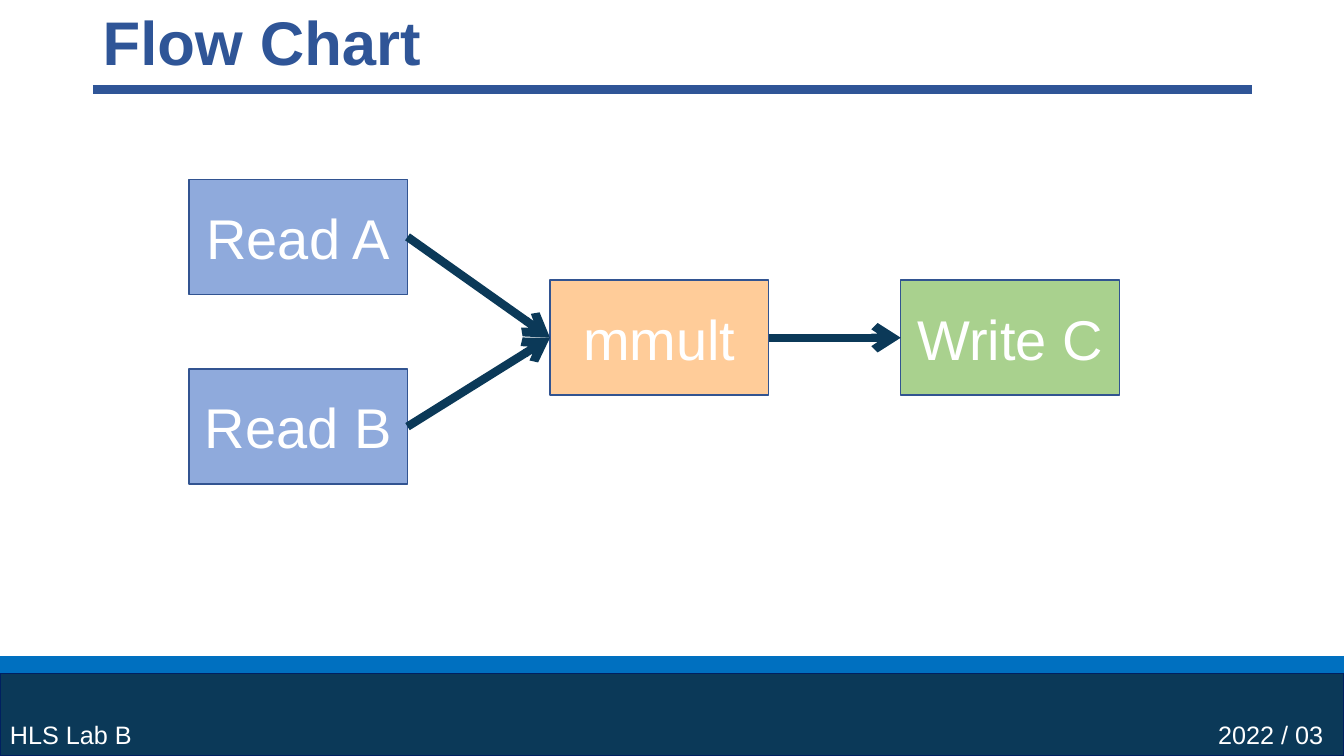
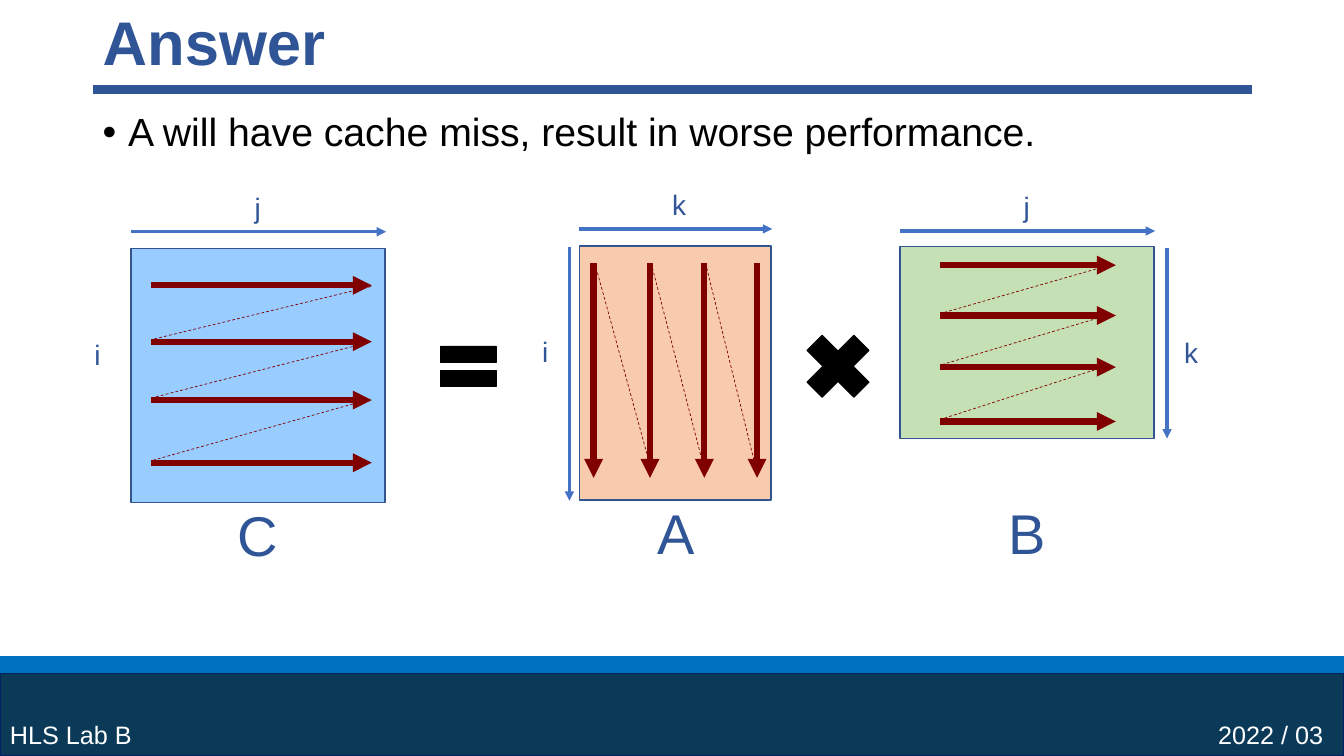
"""Build two slides on the data flow and cache access of a matrix product."""
from lxml.etree import SubElement
from pptx import Presentation
from pptx.dml.color import RGBColor
from pptx.enum.dml import MSO_LINE
from pptx.enum.shapes import MSO_CONNECTOR, MSO_SHAPE
from pptx.enum.text import MSO_ANCHOR, MSO_AUTO_SIZE, PP_ALIGN
from pptx.oxml.ns import qn
from pptx.util import Cm, Pt

WHITE = RGBColor(0xFF, 0xFF, 0xFF)
BLACK = RGBColor(0x00, 0x00, 0x00)
INK = RGBColor(0x2F, 0x55, 0x97)
EDGE = RGBColor(0x32, 0x54, 0x91)
NAVY = RGBColor(0x0B, 0x39, 0x58)
NIGHT = RGBColor(0x00, 0x20, 0x60)
STRIPE = RGBColor(0x00, 0x70, 0xC0)
AXIS = RGBColor(0x44, 0x72, 0xC4)
MAROON = RGBColor(0x80, 0x00, 0x00)
BLUE = RGBColor(0x8F, 0xAA, 0xDC)
ORANGE = RGBColor(0xFF, 0xCC, 0x99)
GREEN = RGBColor(0xA9, 0xD1, 0x8E)
SKY = RGBColor(0x99, 0xCC, 0xFF)
PEACH = RGBColor(0xF8, 0xCB, 0xAD)
MINT = RGBColor(0xC5, 0xE0, 0xB4)

FONT = "Arial"
WIDE, HIGH = 33.87, 19.05
LEFT = 2.34


class Deck:
    """Hold the style and the current slide."""

    def __init__(self):
        self.show = Presentation()
        self.show.slide_width, self.show.slide_height = Cm(WIDE), Cm(HIGH)
        self.slide = None

    def page(self, title):
        """Start a slide with its title, rule and footer."""
        self.slide = self.show.slides.add_slide(self.show.slide_layouts[6])
        head = self.text(title, LEFT, 0, 27.94, 2.31, 44, wrap=True)
        head.vertical_anchor = MSO_ANCHOR.MIDDLE
        head.paragraphs[0].line_spacing = 0.9
        head.paragraphs[0].runs[0].font.bold = True
        self.line((LEFT, 2.26), (31.55, 2.26), INK, 6)
        self.shape(0, 16.97, WIDE, 2.08, NAVY, NIGHT)
        self.shape(0, 16.54, WIDE, 0.41, STRIPE, STRIPE)
        self.text("2022 / 03", 30.45, 18.01, 3.18, 1.02, 18, WHITE)
        self.text("HLS Lab B", 0, 18.01, 3.61, 1.02, 18, WHITE)

    def style(self, frame, size, color):
        """Format all runs of a text frame."""
        for part in frame.paragraphs:
            for run in part.runs:
                run.font.name, run.font.size = FONT, Pt(size)
                run.font.color.rgb = color

    def text(self, words, x, y, w, h, size, color=INK, wrap=False):
        """Add a text box and return its frame."""
        box = self.slide.shapes.add_textbox(Cm(x), Cm(y), Cm(w), Cm(h))
        frame = box.text_frame
        frame.text = words
        frame.word_wrap = wrap
        frame.auto_size = MSO_AUTO_SIZE.NONE if wrap else MSO_AUTO_SIZE.SHAPE_TO_FIT_TEXT
        self.style(frame, size, color)
        return frame

    def bullet(self, words):
        """Add the bulleted body text."""
        part = self.text(words, LEFT, 2.72, 29.21, 14.43, 28, BLACK, True).paragraphs[0]
        part.line_spacing, part.space_before = 0.9, Pt(10)
        props = part._p.get_or_add_pPr()
        props.set("marL", str(Cm(0.64)))
        props.set("indent", str(-Cm(0.64)))
        SubElement(props, qn("a:buFont"), typeface=FONT)
        SubElement(props, qn("a:buChar"), char="•")

    def shape(self, x, y, w, h, fill, edge=EDGE, kind=MSO_SHAPE.RECTANGLE, width=1):
        """Add a filled preset shape."""
        form = self.slide.shapes.add_shape(kind, Cm(x), Cm(y), Cm(w), Cm(h))
        form.shadow.inherit = False
        form.fill.solid()
        form.fill.fore_color.rgb = fill
        form.line.color.rgb = edge
        form.line.width = Pt(width)
        return form

    def node(self, words, x, y, fill):
        """Add a labelled box of the flow chart."""
        form = self.shape(x, y, 5.51, 2.9, fill)
        frame = form.text_frame
        frame.text = words
        frame.vertical_anchor = MSO_ANCHOR.MIDDLE
        frame.paragraphs[0].alignment = PP_ALIGN.CENTER
        self.style(frame, 40, WHITE)
        return form

    def line(self, start, end, color, width, tip=None, dash=None):
        """Add a straight line, with an arrowhead if a tip is named."""
        ends = [Cm(value) for value in (*start, *end)]
        line = self.slide.shapes.add_connector(MSO_CONNECTOR.STRAIGHT, *ends)
        line.line.color.rgb = color
        line.line.width = Pt(width)
        if dash:
            line.line.dash_style = dash
        props = line._element.spPr
        if tip:
            SubElement(props.find(qn("a:ln")), qn("a:tailEnd"), type=tip)
        SubElement(props, qn("a:effectLst"))
        return line

    def join(self, first, last):
        """Link the right side of one box to the left side of the next."""
        link = self.line((0, 0), (1, 1), NAVY, 6, "arrow")
        link.begin_connect(first, 3)
        link.end_connect(last, 1)

    def axis(self, start, end):
        """Add a thin index arrow."""
        self.line(start, end, AXIS, 2.25, "triangle")

    def sweep(self, lanes, start, end, trims, down=False):
        """Add parallel access arrows and the dashed jumps between them."""
        def point(along, across):
            return (across, along) if down else (along, across)

        for lane in lanes:
            self.line(point(start, lane), point(end, lane), MAROON, 4.5, "triangle")
        for lane, after, trim in zip(lanes, lanes[1:], trims):
            near, far = (start, end - trim) if down else (end - trim, start)
            self.line(point(near, lane + 0.03), point(far, after - 0.05),
                      MAROON, 0.5, dash=MSO_LINE.DASH)


deck = Deck()

deck.page("Flow Chart")
reads = [deck.node("Read A", 4.76, 4.52, BLUE), deck.node("Read B", 4.76, 9.3, BLUE)]
mult = deck.node("mmult", 13.86, 7.06, ORANGE)
write = deck.node("Write C", 22.7, 7.06, GREEN)
for read in reads:
    deck.join(read, mult)
deck.join(mult, write)

deck.page("Answer")
deck.bullet("A will have cache miss, result in worse performance.")
deck.shape(3.3, 6.27, 6.4, 6.4, SKY)
deck.shape(14.6, 6.2, 4.83, 6.4, PEACH)
deck.shape(22.68, 6.22, 6.4, 4.83, MINT)

for name, x, y, w in (("C", 5.74, 12.5, 1.55), ("A", 16.31, 12.45, 1.47),
                      ("B", 25.17, 12.45, 1.47)):
    deck.text(name, x, y, w, 1.96, 40)
for name, x, y, w in (("j", 6.17, 4.67, 0.69), ("i", 2.13, 8.38, 0.69),
                      ("k", 16.69, 4.6, 0.86), ("i", 13.41, 8.31, 0.69),
                      ("j", 25.55, 4.65, 0.69), ("k", 29.59, 8.33, 0.86)):
    deck.text(name, x, y, w, 1.12, 20)

for start, end in (((3.3, 5.84), (9.73, 5.84)), ((14.6, 5.77), (19.46, 5.77)),
                   ((14.35, 6.22), (14.35, 12.62)), ((22.68, 5.82), (29.11, 5.82)),
                   ((29.41, 6.25), (29.41, 11.05))):
    deck.axis(start, end)

deck.sweep((7.19, 8.61, 10.08, 11.66), 3.81, 9.37, (0.02, 0.12, 0.23))
deck.sweep((14.96, 16.38, 17.75, 19.08), 6.63, 12.04, (0.51, 0.41, 0.33), down=True)
deck.sweep((6.68, 7.95, 9.25, 10.62), 23.7, 28.12, (0.26, 0.33, 0.41))

deck.shape(10.85, 8.36, 1.91, 1.73, BLACK, BLACK, MSO_SHAPE.MATH_EQUAL, 0.25)
deck.shape(19.99, 8.1, 2.26, 2.26, BLACK, BLACK, MSO_SHAPE.MATH_MULTIPLY)

deck.show.save("out.pptx")
